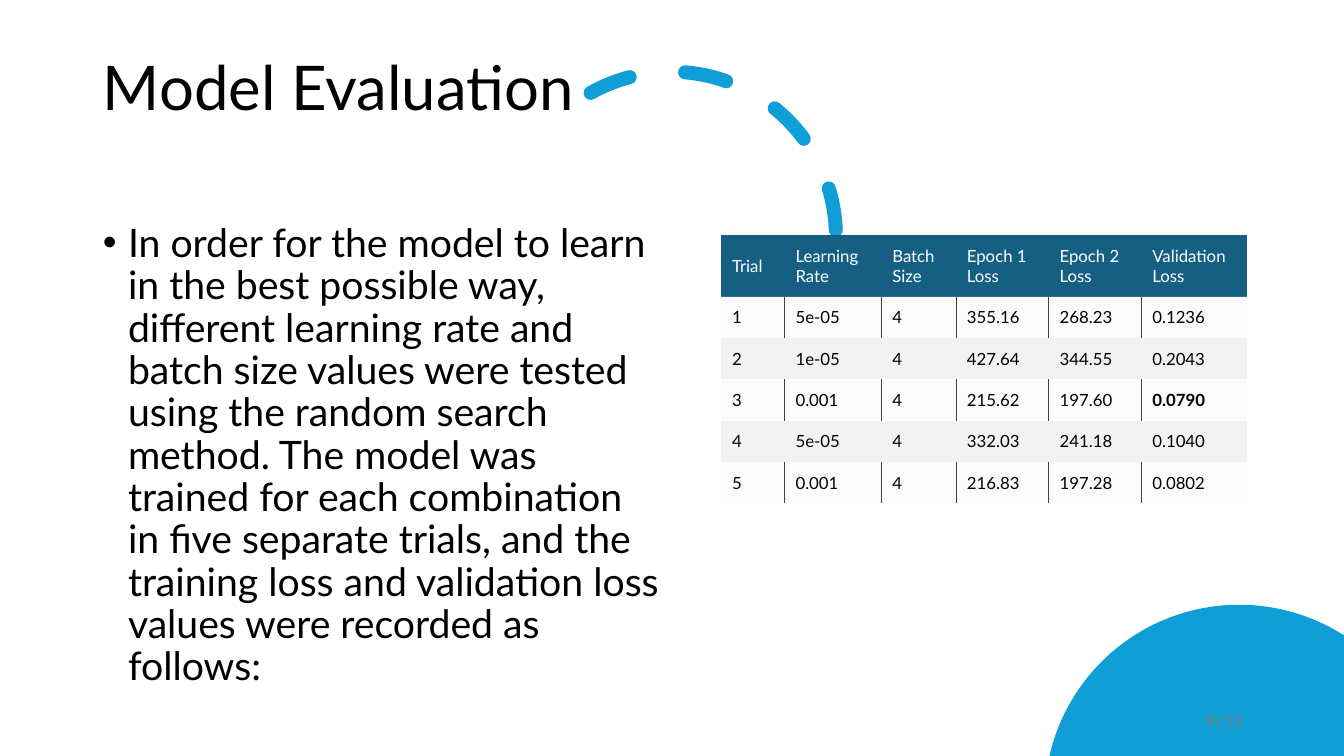
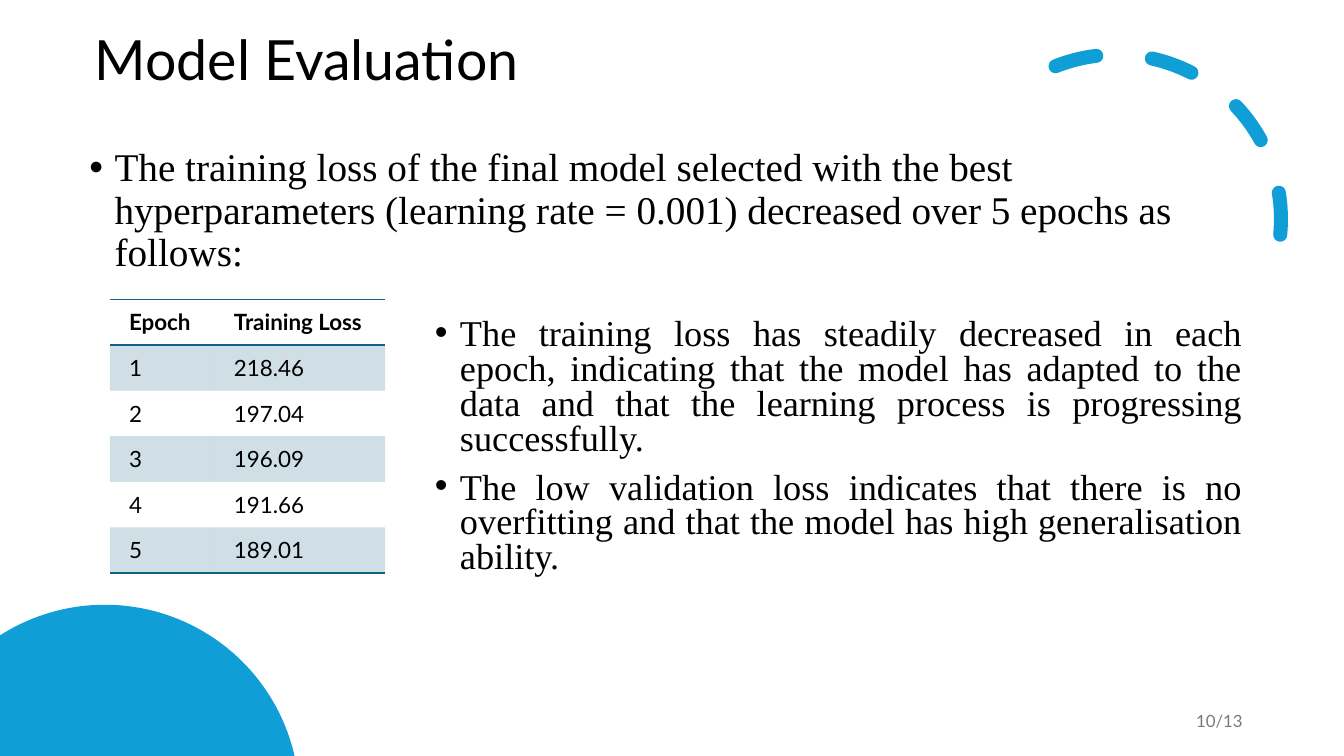
"""Build two model evaluation slides with tables of trial and epoch losses."""
from math import acos, asin, cos, pi, sin

from pptx import Presentation
from pptx.dml.color import RGBColor
from pptx.enum.dml import MSO_LINE
from pptx.enum.shapes import MSO_SHAPE
from pptx.enum.text import MSO_ANCHOR as ANCHOR, MSO_AUTO_SIZE as AUTO_SIZE, PP_ALIGN as ALIGN
from pptx.oxml import parse_xml
from pptx.oxml.ns import nsdecls, qn
from pptx.util import Inches, Pt

COLOURS = {"sky": "0F9ED5", "teal": "156082", "black": "000000", "white": "FFFFFF",
           "grey": "797979", "pale": "F2F2F2", "rule": "404040"}
SANS, SERIF = "Lato", "Times New Roman"
PLAIN_TABLE = "{2D5ABB26-0587-4C30-8999-92F81FD0307C}"
EDGES = ("L", "R", "T", "B")


def write(frame, *paragraphs, font=SANS, size=12, colour="black", bold=False,
          align=ALIGN.LEFT, anchor=ANCHOR.TOP, spacing=1.0, bullet=False):
    """Fill a text frame with equally formatted paragraphs."""
    frame.word_wrap = True
    frame.vertical_anchor = anchor
    for index, text in enumerate(paragraphs):
        paragraph = frame.add_paragraph() if index else frame.paragraphs[0]
        paragraph.alignment, paragraph.line_spacing = align, spacing
        paragraph.space_before = Pt(10 if bullet else 0)
        run = paragraph.add_run()
        run.text = text
        run.font.name, run.font.size, run.font.bold = font, Pt(size), bold
        run.font.color.rgb = RGBColor.from_string(COLOURS[colour])
        if bullet:
            properties = paragraph._p.get_or_add_pPr()
            properties.set("marL", str(Inches(0.25)))
            properties.set("indent", str(-Inches(0.25)))
            properties.append(parse_xml(f'<a:buChar {nsdecls("a")} char="•"/>'))


def paint(cell, fill, alpha, edges, edge_colour, edge_width):
    """Give a table cell its fill and the named border lines."""
    properties = cell._tc.get_or_add_tcPr()
    if fill:
        cell.fill.solid()
        cell.fill.fore_color.rgb = RGBColor.from_string(COLOURS[fill])
        tone = properties.find(".//" + qn("a:srgbClr"))
        tone.append(parse_xml(f'<a:alpha {nsdecls("a")} val="{alpha * 1000}"/>'))
    else:
        cell.fill.background()
    for position, edge in enumerate(edge for edge in EDGES if edge in edges):
        properties.insert(position, parse_xml(
            f'<a:ln{edge} {nsdecls("a")} w="{Pt(edge_width)}"><a:solidFill>'
            f'<a:srgbClr val="{COLOURS[edge_colour]}"/></a:solidFill></a:ln{edge}>'))


deck = Presentation()
deck.slide_width, deck.slide_height = Inches(13.33), Inches(7.5)
WIDTH, HEIGHT = deck.slide_width, deck.slide_height

SLIDES = [
    {
        "page": "9/13", "layout": 1, "mirrored": False,
        "title_size": 44, "title_at": (6.9, 6.9, 43.1, 19.3),
        "arc_at": (37.7, 9.5, 24.5, 43.6), "arc_turn": 0,
        "lists": [
            ((6.9, 28.9, 43.1, 61.1), {"size": 28, "spacing": 0.9}, [
                "In order for the model to learn in the best possible way, different learning "
                "rate and batch size values were tested using the random search method. The "
                "model was trained for each combination in five separate trials, and the "
                "training loss and validation loss values were recorded as follows:"]),
        ],
        "table_at": (53.64, 31.1, 39.16, 35.5),
        "columns": (63, 96, 74, 92, 92, 105), "rows": (61, 41, 41, 41, 41, 41),
        "margins": (0.11, 0.09), "text_size": 12,
        "cells": [
            ["Trial", "Learning Rate", "Batch Size", "Epoch 1 Loss", "Epoch 2 Loss",
             "Validation Loss"],
            ["1", "5e-05", "4", "355.16", "268.23", "0.1236"],
            ["2", "1e-05", "4", "427.64", "344.55", "0.2043"],
            ["3", "0.001", "4", "215.62", "197.60", "0.0790"],
            ["4", "5e-05", "4", "332.03", "241.18", "0.1040"],
            ["5", "0.001", "4", "216.83", "197.28", "0.0802"],
        ],
        "bold": ["0.0790"], "header": ("teal", 100), "header_text": "white",
        "odd": ("pale", 30), "even": ("pale", 100), "columns_ruled": True,
        "edge": ("rule", 0.5),
    },
    {
        "page": "10/13", "layout": 3, "mirrored": True,
        "title_size": 39.6, "title_at": (6.3, 3.6, 44.8, 9.6),
        "arc_at": (70.8, 7.2, 24.5, 43.6), "arc_turn": 66.1,
        "lists": [
            ((5.9, 18.9, 83.5, 18.7), {"size": 28, "spacing": 0.9, "font": SERIF}, [
                "The training loss of the final model selected with the best hyperparameters "
                "(learning rate = 0.001) decreased over 5 epochs as follows:"]),
            ((31.6, 41.5, 61.6, 36.3),
             {"size": 25.9, "spacing": 0.8, "font": SERIF, "align": ALIGN.JUSTIFY}, [
                "The training loss has steadily decreased in each epoch, indicating that the "
                "model has adapted to the data and that the learning process is progressing "
                "successfully.",
                "The low validation loss indicates that there is no overfitting and that the "
                "model has high generalisation ability."]),
        ],
        "table_at": (8.18, 39.6, 20.48, 36.2),
        "columns": (104, 169), "rows": (1, 1, 1, 1, 1, 1),
        "margins": (0.19, 0.19), "text_size": 16,
        "cells": [
            ["Epoch", "Training Loss"], ["1", "218.46"], ["2", "197.04"],
            ["3", "196.09"], ["4", "191.66"], ["5", "189.01"],
        ],
        "bold": ["Epoch", "Training Loss"], "header": (None, 0), "header_text": "black",
        "odd": ("teal", 20), "even": (None, 0), "columns_ruled": False,
        "edge": ("teal", 1),
    },
]

RADIUS = Inches(1.93)
DISC_X, DISC_Y = Inches(12.29), Inches(7.93)
STEPS = 90
first_angle = pi - asin((DISC_Y - HEIGHT) / RADIUS)
last_angle = acos((WIDTH - DISC_X) / RADIUS)
disc_angles = [first_angle + (last_angle - first_angle) * step / STEPS
               for step in range(STEPS + 1)]
disc_outline = [(DISC_X + RADIUS * cos(angle), DISC_Y - RADIUS * sin(angle))
                for angle in disc_angles] + [(WIDTH, HEIGHT)]

for content in SLIDES:
    slide = deck.slides.add_slide(deck.slide_layouts[content["layout"]])
    shapes = slide.shapes
    mirrored = content["mirrored"]
    placed = []

    title = shapes.title
    write(title.text_frame, "Model Evaluation", size=content["title_size"], spacing=0.9)
    placed.append((title, content["title_at"]))

    outline = [(WIDTH - x if mirrored else x, y) for x, y in disc_outline]
    builder = shapes.build_freeform(*outline[0])
    builder.add_line_segments(outline[1:], close=True)
    disc = builder.convert_to_shape()
    disc.shadow.inherit = False
    disc.fill.solid()
    disc.fill.fore_color.rgb = RGBColor.from_string(COLOURS["sky"])
    disc.line.fill.background()

    arc = shapes.add_shape(MSO_SHAPE.ARC, 0, 0, 0, 0)
    arc.shadow.inherit = False
    arc.adjustments[0], arc.adjustments[1] = 144.418, 0
    arc.rotation = content["arc_turn"]
    arc.fill.background()
    arc.line.color.rgb = RGBColor.from_string(COLOURS["sky"])
    arc.line.width, arc.line.dash_style = Pt(10), MSO_LINE.DASH
    arc.line._get_or_add_ln().set("cap", "rnd")
    if mirrored:
        arc._element.spPr.find(qn("a:xfrm")).set("flipH", "1")
    placed.append((arc, content["arc_at"]))

    bodies = list(slide.placeholders)[1:]
    for body, (area, style, points) in zip(bodies, content["lists"]):
        write(body.text_frame, *points, bullet=True, **style)
        body.text_frame.auto_size = AUTO_SIZE.NONE
        placed.append((body, area))

    page = shapes.add_textbox(0, 0, 0, 0)
    write(page.text_frame, content["page"], colour="grey", align=ALIGN.RIGHT,
          anchor=ANCHOR.MIDDLE)
    placed.append((page, (70.7, 92.7, 22.5, 5.3)))

    columns, rows = content["columns"], content["rows"]
    table_frame = shapes.add_table(len(rows), len(columns), 0, 0, 0, 0)
    losses = table_frame.table
    losses.first_row = losses.horz_banding = False
    losses._tbl.tblPr.find(qn("a:tableStyleId")).text = PLAIN_TABLE
    table_width = WIDTH * content["table_at"][2] / 100
    table_height = HEIGHT * content["table_at"][3] / 100
    for column, share in zip(losses.columns, columns):
        column.width = round(table_width * share / sum(columns))
    for row, share in zip(losses.rows, rows):
        row.height = round(table_height * share / sum(rows))
    for r, values in enumerate(content["cells"]):
        band = content["odd" if r % 2 else "even"] if r else content["header"]
        for c, value in enumerate(values):
            cell = losses.cell(r, c)
            cell.margin_left, cell.margin_right = map(Inches, content["margins"])
            cell.margin_top = cell.margin_bottom = Inches(0.09)
            write(cell.text_frame, value, size=content["text_size"],
                  bold=value in content["bold"],
                  colour="black" if r else content["header_text"])
            cell.vertical_anchor = ANCHOR.MIDDLE
            if content["columns_ruled"]:
                edges = ("L" if c else "") + ("R" if c < len(columns) - 1 else "")
                edges = edges if r % 2 else ""
            else:
                edges = "TB" if r == 0 else "B" if r == len(rows) - 1 else ""
            paint(cell, *band, edges, *content["edge"])
    placed.append((table_frame, content["table_at"]))

    for item, (x, y, w, h) in placed:
        item.left, item.top = round(WIDTH * x / 100), round(HEIGHT * y / 100)
        item.width, item.height = round(WIDTH * w / 100), round(HEIGHT * h / 100)

deck.save("out.pptx")
